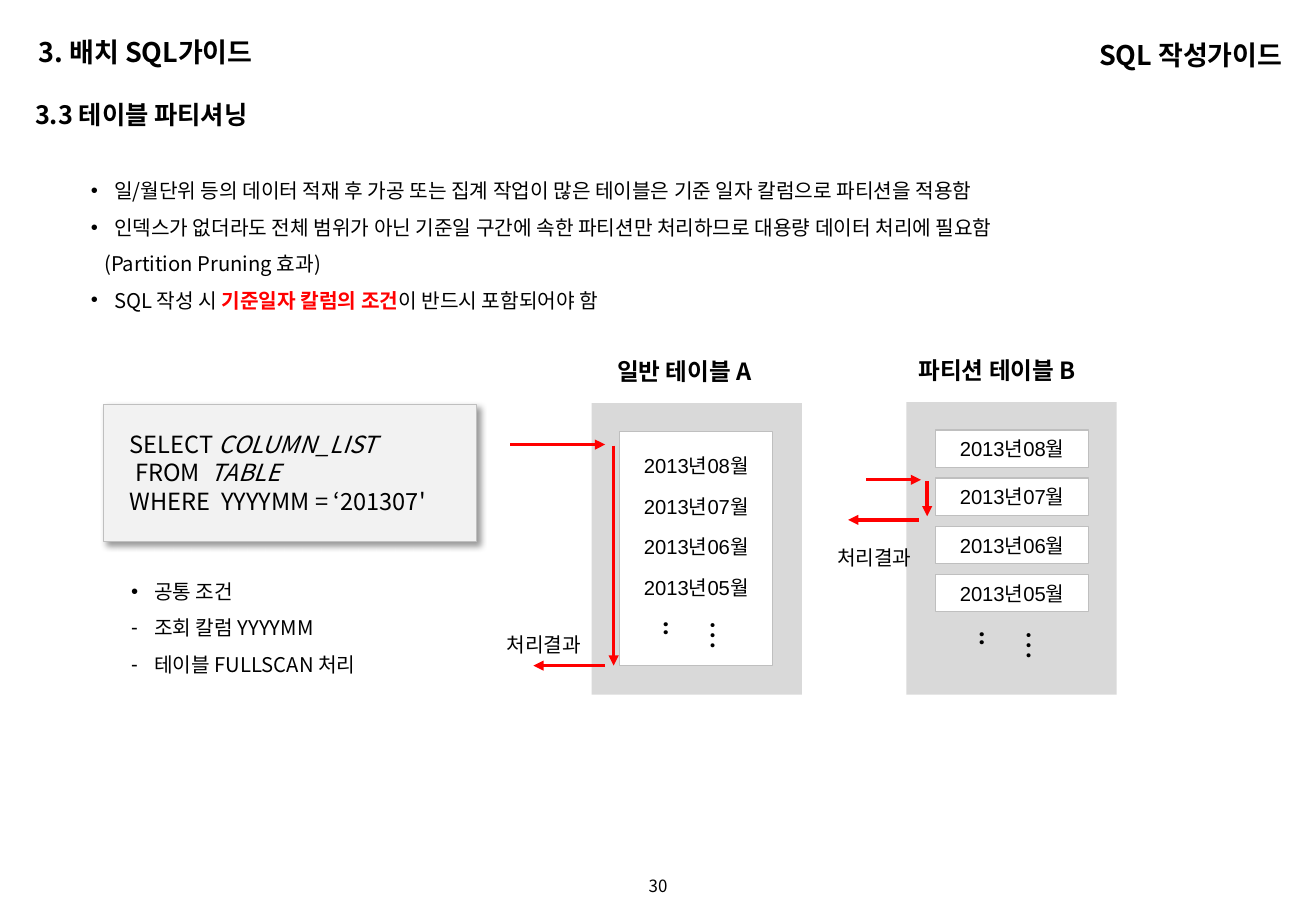
from lxml import etree
from pptx import Presentation
from pptx.dml.color import RGBColor
from pptx.enum.shapes import MSO_CONNECTOR, MSO_SHAPE
from pptx.enum.text import MSO_ANCHOR, MSO_AUTO_SIZE, PP_ALIGN
from pptx.oxml import parse_xml
from pptx.oxml.ns import qn
from pptx.util import Inches, Pt

RECT, STRAIGHT = MSO_SHAPE.RECTANGLE, MSO_CONNECTOR.STRAIGHT
TOP, MIDDLE, BOTTOM = MSO_ANCHOR.TOP, MSO_ANCHOR.MIDDLE, MSO_ANCHOR.BOTTOM
LEFT, CENTER, RIGHT = PP_ALIGN.LEFT, PP_ALIGN.CENTER, PP_ALIGN.RIGHT
FIT = MSO_AUTO_SIZE.SHAPE_TO_FIT_TEXT
BLACK, WHITE = RGBColor(0, 0, 0), RGBColor(255, 255, 255)
RED, GRAY = RGBColor(255, 0, 0), RGBColor(0xD9, 0xD9, 0xD9)
EDGE, PALE = RGBColor(0xBF, 0xBF, 0xBF), RGBColor(0xF2, 0xF2, 0xF2)
KOREAN, LATIN = "Noto Sans CJK KR", "Arial"

# Content: a line is (bullet, runs), a run is (text, style)
POINTS = [
    ("•", [("일/월단위 등의 데이터 적재 후 가공 또는 집계 작업이 많은 테이블은 기준 일자 칼럼으로 파티션을 적용함", "")]),
    ("•", [("인덱스가 없더라도 전체 범위가 아닌 기준일 구간에 속한 파티션만 처리하므로 대용량 데이터 처리에 필요함", "")]),
    ("", [("(Partition Pruning 효과)", "")]),
    ("•", [("SQL 작성 시 ", ""), ("기준일자 칼럼의 조건", "red"),
           ("이 반드시 포함되어야 함", "")]),
]
NOTES = [("•", [("공통 조건", "")]),
         ("-", [("조회 칼럼 YYYYMM", "")]),
         ("-", [("테이블 FULLSCAN 처리", "")])]
QUERY = [("", [("SELECT ", ""), ("COLUMN_LIST", "italic")]),
         ("", [(" FROM  ", ""), ("TABLE", "italic")]),
         ("", [("WHERE  YYYYMM = ‘201307'", "")])]
MONTHS = ["2013년08월", "2013년07월", "2013년06월", "2013년05월"]
HEADS = [  # text, box, size, align, anchor, line spacing
    ("3.3 테이블 파티셔닝", (0.19, 0.73, 10.47, 0.34), 15, LEFT, TOP, 1.2),
    ("SQL 작성가이드", (8.13, 0.03, 2.52, 0.59), 16, RIGHT, BOTTOM, 1.1),
    ("3. 배치 SQL가이드", (0.22, 0.01, 2.99, 0.59), 16, LEFT, BOTTOM, 1.1),
]
TABLES = [  # title, title box, panel, dots
    ("일반 테이블 A", (4.98, 2.89, 1.46, 0.34), (4.87, 3.32, 1.73, 2.4), (5.57, 5.01)),
    ("파티션 테이블 B", (7.46, 2.88, 1.64, 0.34), (7.46, 3.31, 1.73, 2.41), (8.17, 5.09)),
]
ARROWS = [(4.2, 3.66, 4.98, 3.66), (5.05, 3.67, 5.05, 5.48), (4.98, 5.48, 4.39, 5.48),
          (7.13, 3.95, 7.58, 3.95), (7.63, 3.96, 7.63, 4.25), (7.56, 4.28, 6.98, 4.28)]
RESULTS = [(4.07, 5.06), (6.79, 4.34)]

deck = Presentation()
deck.slide_width, deck.slide_height = Inches(10.83), Inches(7.5)
slide = deck.slides.add_slide(deck.slide_layouts[6])
shapes = slide.shapes


def write(shape, lines, size, font=KOREAN, bold=False, align=LEFT, anchor=TOP,
          space=None, wrap=True, inset=(0.1, 0.05, 0.1, 0.05)):
    frame = shape.text_frame
    frame.word_wrap, frame.vertical_anchor = wrap, anchor
    (frame.margin_left, frame.margin_top,
     frame.margin_right, frame.margin_bottom) = map(Inches, inset)
    for i, (mark, runs) in enumerate(lines):
        para = frame.add_paragraph() if i else frame.paragraphs[0]
        para.alignment = align
        if space:
            para.line_spacing = space
        if mark:
            props = para._p.get_or_add_pPr()
            props.set("marL", str(Inches(0.19)))
            props.set("indent", str(-Inches(0.19)))
            etree.SubElement(props, qn("a:buFont")).set("typeface", LATIN)
            etree.SubElement(props, qn("a:buChar")).set("char", mark)
        for text, style in runs:
            run = para.add_run()
            run.text = text
            face = run.font
            face.size, face.name = Pt(size), font
            face.bold = bold or style == "red"
            face.italic = style == "italic"
            face.color.rgb = RED if style == "red" else BLACK
            etree.SubElement(run._r.get_or_add_rPr(), qn("a:ea")).set("typeface", KOREAN)
    return frame


def label(box, lines, size, **style):
    if isinstance(lines, str):
        lines = [("", [(lines, "")])]
    frame = write(shapes.add_textbox(*map(Inches, box)), lines, size, **style)
    if not frame.word_wrap:
        frame.auto_size = FIT
    return frame


def panel(box, fill, edge=None):
    shape = shapes.add_shape(RECT, *map(Inches, box))
    shape.shadow.inherit = False
    shape.fill.solid()
    shape.fill.fore_color.rgb = fill
    if edge:
        shape.line.color.rgb = edge
        shape.line.width = Pt(0.75)
    else:
        shape.line.fill.background()
    return shape


def months(box, names, **style):
    write(panel(box, WHITE, EDGE), [("", [(name, "")]) for name in names], 12,
          font=LATIN, align=CENTER, wrap=False, inset=(0.05,) * 4, **style)


# Headings, page number and main points
label((5.02, 7.21, 0.79, 0.22), "30", 10, align=CENTER, inset=(0,) * 4)
for text, box, size, align, anchor, space in HEADS:
    frame = label(box, text, size, bold=True, align=align, anchor=anchor,
                  space=space, inset=(0.1, 0.04, 0.1, 0.04))
    if anchor == TOP:
        frame.paragraphs[0].space_before = Pt(3)
points = label((0.65, 1.32, 9.33, 1.62), POINTS, 12, space=1.5)
points.paragraphs[2]._p.get_or_add_pPr().set("marL", str(Inches(0.11)))

# Plain and partitioned tables
for n, (title, head, back, dots) in enumerate(TABLES):
    panel(back, GRAY)
    if n == 0:
        months((5.1, 3.55, 1.26, 1.93), MONTHS, space=Pt(24))
    else:
        for i, month in enumerate(MONTHS):
            months((7.7, 3.54 + i * 0.396, 1.26, 0.31), [month], anchor=MIDDLE)
    frame = label((*dots, 0.5, 0.39), "…..", 18)
    frame._txBody.bodyPr.set("vert", "eaVert")
    label(head, title, 14, bold=True, wrap=False)

# Query card with its shadow
card = panel((0.85, 3.33, 3.07, 1.13), PALE, EDGE)
card._element.spPr.find(qn("a:effectLst")).append(parse_xml(
    '<a:outerShdw xmlns:a="http://schemas.openxmlformats.org/drawingml/2006/main"'
    ' blurRad="50800" dist="38100" dir="2700000" algn="tl" rotWithShape="0">'
    '<a:srgbClr val="000000"><a:alpha val="40000"/></a:srgbClr></a:outerShdw>'))
label((0.97, 3.49, 2.87, 0.81), QUERY, 14)
label((0.98, 4.62, 2.71, 1.62), NOTES, 12, space=1.5)

# Arrows and results
for ends in ARROWS:
    arrow = shapes.add_connector(STRAIGHT, *map(Inches, ends))
    arrow.line.color.rgb, arrow.line.width = RED, Pt(2)
    etree.SubElement(arrow.line._get_or_add_ln(), qn("a:tailEnd")).set("type", "triangle")
    etree.SubElement(arrow._element.spPr, qn("a:effectLst"))
for spot in RESULTS:
    label((*spot, 0.88, 0.36), "처리결과", 12, space=1.5, wrap=False)

deck.save("out.pptx")
